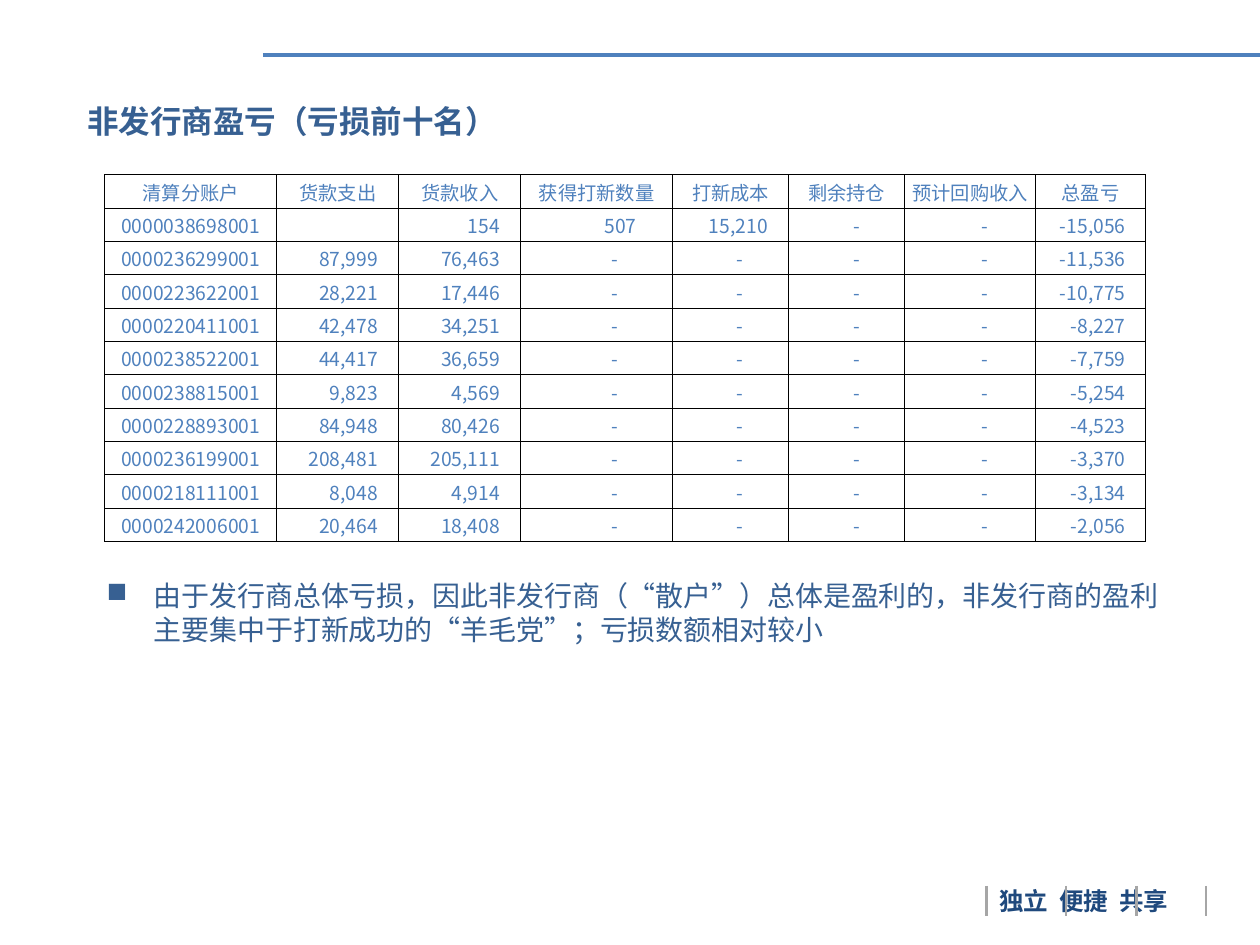
from dataclasses import dataclass

from lxml.etree import SubElement
from pptx import Presentation
from pptx.dml.color import RGBColor as RGB
from pptx.enum.shapes import MSO_CONNECTOR as CONNECTOR
from pptx.enum.text import MSO_ANCHOR as ANCHOR, MSO_AUTO_SIZE as AUTO_SIZE, PP_ALIGN as ALIGN
from pptx.oxml import parse_xml
from pptx.oxml.ns import nsdecls, qn
from pptx.util import Cm, Pt


@dataclass(frozen=True)
class Theme:
    font: str = "Noto Sans CJK SC"
    accent: RGB = RGB(0x4F, 0x81, 0xBD)
    heading: RGB = RGB(0x37, 0x60, 0x92)
    motto: RGB = RGB(0x1F, 0x49, 0x7D)
    divider: RGB = RGB(0xA6, 0xA6, 0xA6)
    border: str = "000000"
    title_size: Pt = Pt(18)
    body_size: Pt = Pt(16)
    motto_size: Pt = Pt(14)
    table_size: Pt = Pt(11)


theme = Theme()


def add_run(paragraph, text, size, color, bold=False):
    run = paragraph.add_run()
    run.text = text
    font = run.font
    font.size, font.bold, font.name = size, bold, theme.font
    font.color.rgb = color
    SubElement(font._element, qn("a:ea"), typeface=theme.font)


def add_line(x1, y1, x2, y2, color, width):
    line = slide.shapes.add_connector(CONNECTOR.STRAIGHT, Cm(x1), Cm(y1), Cm(x2), Cm(y2))
    line.line.color.rgb = color
    line.line.width = Pt(width)
    SubElement(line._element.spPr, qn("a:effectLst"))


prs = Presentation()
prs.slide_width, prs.slide_height = Cm(25.4), Cm(19.05)
slide = prs.slides.add_slide(prs.slide_layouts[5])

# Header rule and title
add_line(5.3, 1.1, 25.4, 1.1, theme.accent, 2.25)
title = slide.shapes.title
title.left, title.top, title.width, title.height = Cm(1.5), Cm(1.93), Cm(17.2), Cm(1.02)
title.text_frame.auto_size = AUTO_SIZE.NONE
title.text_frame.vertical_anchor = ANCHOR.MIDDLE
heading = title.text_frame.paragraphs[0]
heading.alignment = ALIGN.LEFT
add_run(heading, "非发行商盈亏（亏损前十名）", theme.title_size, theme.heading, True)

# Footer motto with dividers
motto_box = slide.shapes.add_textbox(Cm(19.89), Cm(17.73), Cm(5), Cm(0.86))
motto_box.text_frame.word_wrap = True
motto_box.text_frame.vertical_anchor = ANCHOR.MIDDLE
motto = motto_box.text_frame.paragraphs[0]
tab_stops = SubElement(motto._p.get_or_add_pPr(), qn("a:tabLst"))
for stop in (1.21, 2.42):
    SubElement(tab_stops, qn("a:tab"), pos=str(Cm(stop)), algn="l")
add_run(motto, "独立\t便捷\t共享", theme.motto_size, theme.motto, True)
for x in (19.89, 21.49, 22.91, 24.31):
    add_line(x, 17.86, x, 18.47, theme.divider, 1.5)

# Finding below the table
finding_box = slide.shapes.add_textbox(Cm(1.9), Cm(11.53), Cm(22), Cm(1.63))
finding_box.text_frame.word_wrap = True
finding_box.text_frame.vertical_anchor = ANCHOR.MIDDLE
finding = finding_box.text_frame.paragraphs[0]
finding.line_spacing = Pt(19.4)
finding_format = finding._p.get_or_add_pPr()
finding_format.set("marL", str(Cm(0.95)))
finding_format.set("indent", str(Cm(-0.95)))
SubElement(finding_format, qn("a:buChar"), char="■")
add_run(finding, "由于发行商总体亏损，因此非发行商（“散户”）总体是盈利的，"
        "非发行商的盈利主要集中于打新成功的“羊毛党”；亏损数额相对较小",
        theme.body_size, theme.heading)

# Ten largest losses
headers = ["清算分账户", "货款支出", "货款收入", "获得打新数量",
           "打新成本", "剩余持仓", "预计回购收入", "总盈亏"]
accounts = [
    ("0000038698001", "", "154", "507", "15,210", "-15,056"),
    ("0000236299001", "87,999", "76,463", "-", "-", "-11,536"),
    ("0000223622001", "28,221", "17,446", "-", "-", "-10,775"),
    ("0000220411001", "42,478", "34,251", "-", "-", "-8,227"),
    ("0000238522001", "44,417", "36,659", "-", "-", "-7,759"),
    ("0000238815001", "9,823", "4,569", "-", "-", "-5,254"),
    ("0000228893001", "84,948", "80,426", "-", "-", "-4,523"),
    ("0000236199001", "208,481", "205,111", "-", "-", "-3,370"),
    ("0000218111001", "8,048", "4,914", "-", "-", "-3,134"),
    ("0000242006001", "20,464", "18,408", "-", "-", "-2,056"),
]
# No account has remaining holdings or expected buyback income
rows = [headers] + [(*account[:5], "-", "-", account[5]) for account in accounts]
column_widths = [3.47, 2.46, 2.46, 3.06, 2.34, 2.34, 2.64, 2.21]
number_insets = [0, 0.42, 0.42, 0.73, 0.42, 0.42, 0.42, 0.4]
dash_insets = [0, 0, 0, 1.09, 0.91, 0.91, 0.97, 0]

table = slide.shapes.add_table(len(rows), len(headers), Cm(2.11), Cm(3.52),
                               Cm(sum(column_widths)), Cm(7.4)).table
table.first_row = table.horz_banding = False
for column, width in zip(table.columns, column_widths):
    column.width = Cm(width)

for r, row in enumerate(rows):
    for c, value in enumerate(row):
        cell = table.cell(r, c)
        cell.vertical_anchor = ANCHOR.MIDDLE
        cell.margin_left = cell.margin_right = cell.margin_top = Cm(0.02)
        cell.margin_bottom = 0
        cell.fill.background()
        for i, side in enumerate(("lnL", "lnR", "lnT", "lnB")):
            cell._tc.get_or_add_tcPr().insert(i, parse_xml(
                f'<a:{side} {nsdecls("a")} w="{Pt(0.5)}"><a:solidFill>'
                f'<a:srgbClr val="{theme.border}"/></a:solidFill></a:{side}>'))
        entry = cell.text_frame.paragraphs[0]
        if r == 0 or c == 0:
            entry.alignment = ALIGN.CENTER
        else:
            entry.alignment = ALIGN.RIGHT
            cell.margin_right = Cm((dash_insets if value == "-" else number_insets)[c])
        if value:
            add_run(entry, value, theme.table_size, theme.accent)
        else:
            SubElement(entry._p, qn("a:endParaRPr"), sz=str(int(theme.table_size.pt * 100)))

prs.save("out.pptx")
